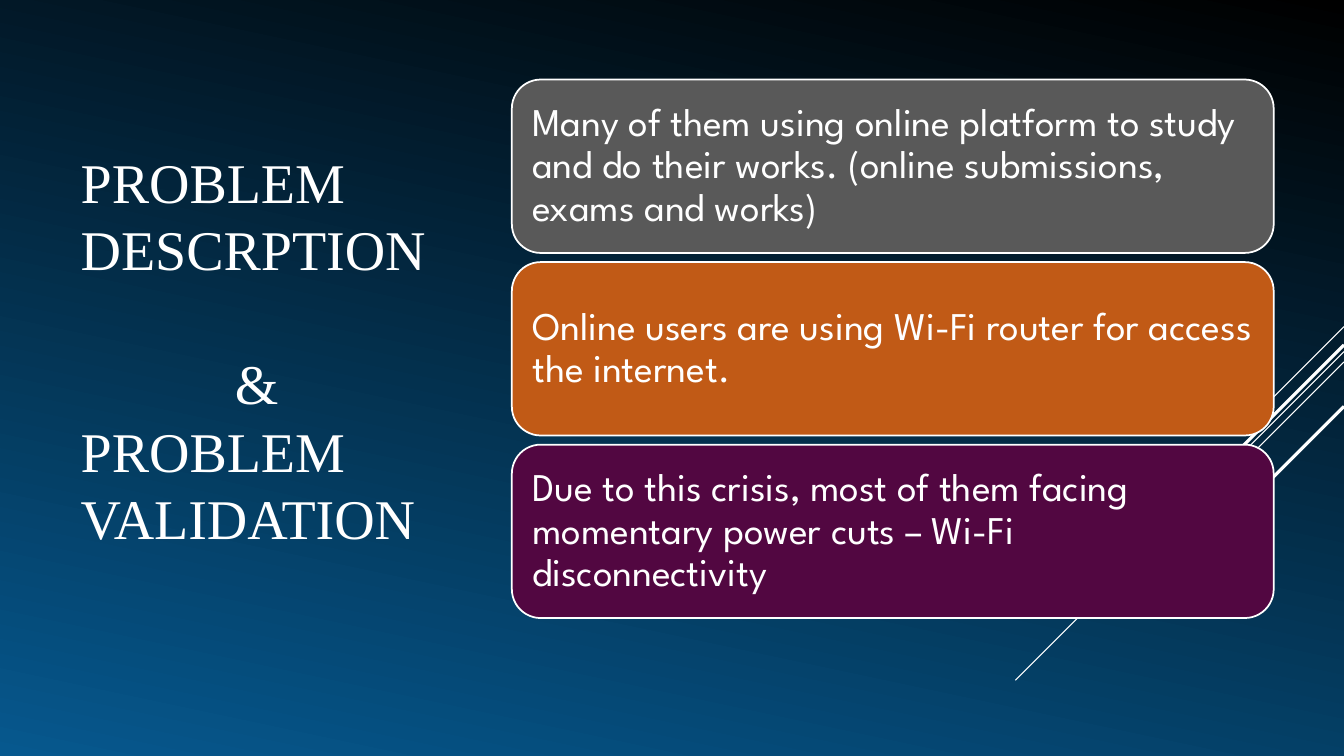
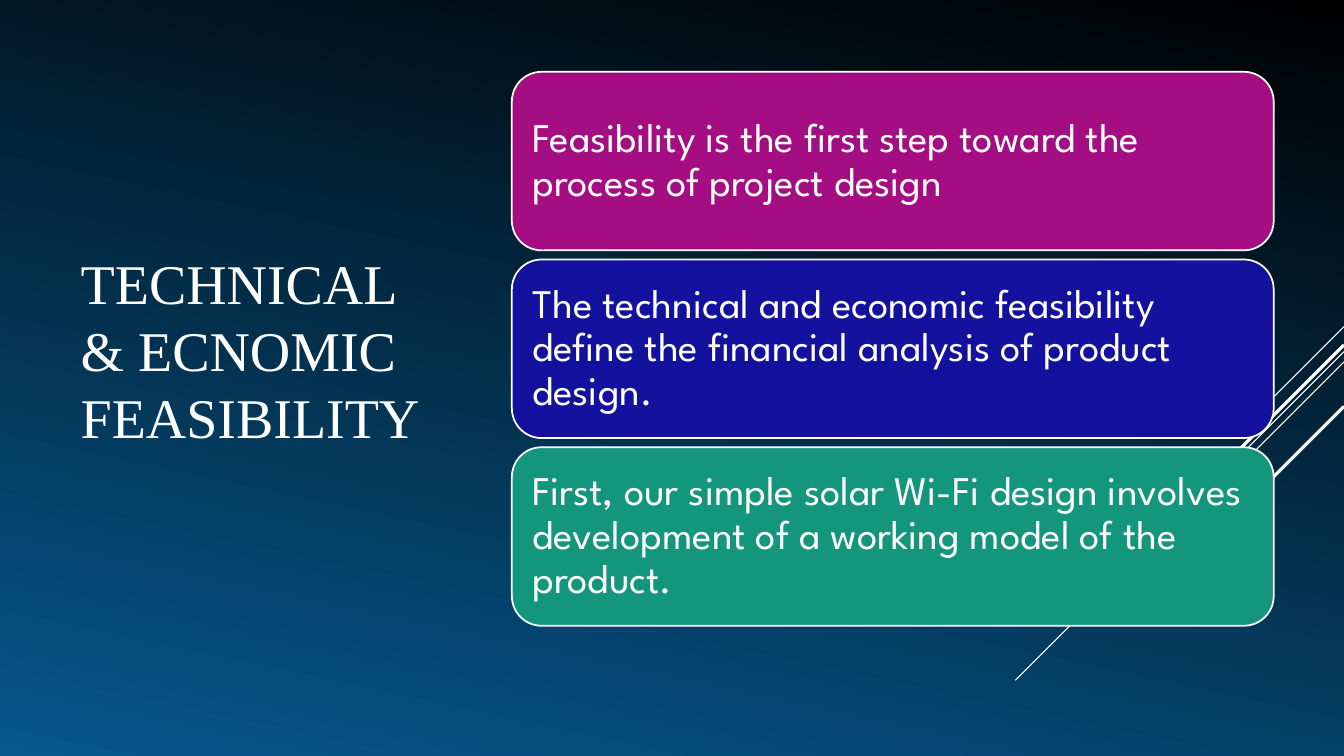
from dataclasses import dataclass

from lxml import etree
from pptx import Presentation
from pptx.dml.color import RGBColor
from pptx.enum.shapes import MSO_CONNECTOR, MSO_SHAPE
from pptx.enum.text import MSO_ANCHOR, MSO_AUTO_SIZE, PP_ALIGN
from pptx.oxml.ns import qn
from pptx.util import Cm, Pt

STRAIGHT = MSO_CONNECTOR.STRAIGHT
ROUNDED = MSO_SHAPE.ROUNDED_RECTANGLE
MIDDLE = MSO_ANCHOR.MIDDLE
NO_FIT = MSO_AUTO_SIZE.NONE
LEFT = PP_ALIGN.LEFT
CENTER = PP_ALIGN.CENTER

PAGE_WIDTH, PAGE_HEIGHT = 33.87, 19.05
TITLE_ONLY = 5
MIDDLE_Y = 8.79  # shared centre line of the title and the cards

# Start height on the right edge, run to the lower left, line width
RAYS = [
    (8.23, 2.54, 0.75),
    (8.86, 8.28, 0.75),
    (9.12, 5.26, 0.75),
    (8.69, 4.85, 2.25),
    (10.24, 3.53, 2.25),
]


@dataclass(frozen=True)
class Theme:
    night: str = "000000"
    ocean: str = "06588E"
    white: str = "FFFFFF"
    gray: str = "595959"
    orange: str = "C15A16"
    plum: str = "520741"
    magenta: str = "A50E82"
    indigo: str = "13119D"
    green: str = "14967C"
    title_font: str = "Times New Roman"
    card_font: str = "League Spartan"
    title_size: int = 40
    title_pitch: int = 48
    card_size: int = 28
    card_size_large: int = 29
    card_outline: float = 1.25


THEME = Theme()


def rgb(color):
    return RGBColor.from_string(color)


class Pages:
    def __init__(self, theme):
        self.theme = theme
        self.deck = Presentation()
        self.deck.slide_width = Cm(PAGE_WIDTH)
        self.deck.slide_height = Cm(PAGE_HEIGHT)
        self.page = None
        self.paint_background()

    def paint_background(self):
        fill = self.deck.slide_master.background.fill
        fill.gradient()
        fill.gradient_angle = 258
        colors = (self.theme.night, self.theme.ocean)
        for stop, color in zip(fill.gradient_stops, colors):
            stop.color.rgb = rgb(color)

    def add_page(self, title_lines):
        layout = self.deck.slide_layouts[TITLE_ONLY]
        self.page = self.deck.slides.add_slide(layout)
        for ray in RAYS:
            self.add_ray(*ray)
        self.set_title(title_lines)

    def add_ray(self, top, run, width):
        ray = self.page.shapes.add_connector(
            STRAIGHT, Cm(PAGE_WIDTH), Cm(top), Cm(PAGE_WIDTH - run), Cm(top + run)
        )
        ray.line.color.rgb = rgb(self.theme.white)
        ray.line.width = Pt(width)
        etree.SubElement(ray._element.spPr, qn("a:effectLst"))

    def format_paragraph(self, paragraph, font, size):
        paragraph.alignment = LEFT
        paragraph.font.name = font
        paragraph.font.size = Pt(size)
        paragraph.font.color.rgb = rgb(self.theme.white)

    def set_title(self, lines):
        """Fill the title; a line holding only "&" is set apart and centred."""
        height = 14.05
        title = self.page.shapes.title
        title.left, title.top = Cm(1.78), Cm(MIDDLE_Y - height / 2)
        title.width, title.height = Cm(9.37), Cm(height)
        frame = title.text_frame
        frame.text = "\n".join(lines)
        frame.word_wrap = True
        frame.auto_size = NO_FIT
        frame.vertical_anchor = MIDDLE
        for paragraph in frame.paragraphs:
            self.format_paragraph(
                paragraph, self.theme.title_font, self.theme.title_size
            )
            paragraph.line_spacing = Pt(self.theme.title_pitch)
            paragraph.space_before = Pt(0)
            if paragraph.text == "&":
                paragraph.space_before = Pt(self.theme.title_pitch)
                paragraph.alignment = CENTER

    def add_card(self, top, height, text, color, size):
        card = self.page.shapes.add_shape(
            ROUNDED, Cm(12.9), Cm(top), Cm(19.2), Cm(height)
        )
        card.shadow.inherit = False
        card.fill.solid()
        card.fill.fore_color.rgb = rgb(color)
        card.line.color.rgb = rgb(self.theme.white)
        card.line.width = Pt(self.theme.card_outline)
        frame = card.text_frame
        frame.word_wrap = True
        frame.vertical_anchor = MIDDLE
        frame.margin_left = frame.margin_right = Cm(0.3)
        frame.margin_top = frame.margin_bottom = Cm(0.3)
        frame.text = text
        paragraph = frame.paragraphs[0]
        self.format_paragraph(paragraph, self.theme.card_font, size)
        paragraph.line_spacing = 0.9

    def add_cards(self, cards, height, size):
        """Stack the cards evenly around the centre line."""
        pitch = height + 0.23
        first_top = MIDDLE_Y - (pitch * (len(cards) - 1) + height) / 2
        for index, (text, color) in enumerate(cards):
            self.add_card(first_top + index * pitch, height, text, color, size)


def main():
    pages = Pages(THEME)

    pages.add_page(["PROBLEM DESCRPTION", "&", "PROBLEM VALIDATION"])
    pages.add_cards(
        [
            (
                "Many of them using online platform to study and do their works. "
                "(online submissions, exams and works)",
                THEME.gray,
            ),
            (
                "Online users are using Wi-Fi router for access the internet.",
                THEME.orange,
            ),
            (
                "Due to this crisis, most of them facing momentary power cuts – "
                "Wi-Fi disconnectivity",
                THEME.plum,
            ),
        ],
        height=4.37,
        size=THEME.card_size,
    )

    pages.add_page(["TECHNICAL & ECNOMIC FEASIBILITY"])
    pages.add_cards(
        [
            (
                "Feasibility is the first step toward the process of project design",
                THEME.magenta,
            ),
            (
                "The technical and economic feasibility define the financial "
                "analysis of product design.",
                THEME.indigo,
            ),
            (
                "First, our simple solar Wi-Fi design involves development of a "
                "working model of the product.",
                THEME.green,
            ),
        ],
        height=4.5,
        size=THEME.card_size_large,
    )

    pages.deck.save("out.pptx")


if __name__ == "__main__":
    main()
